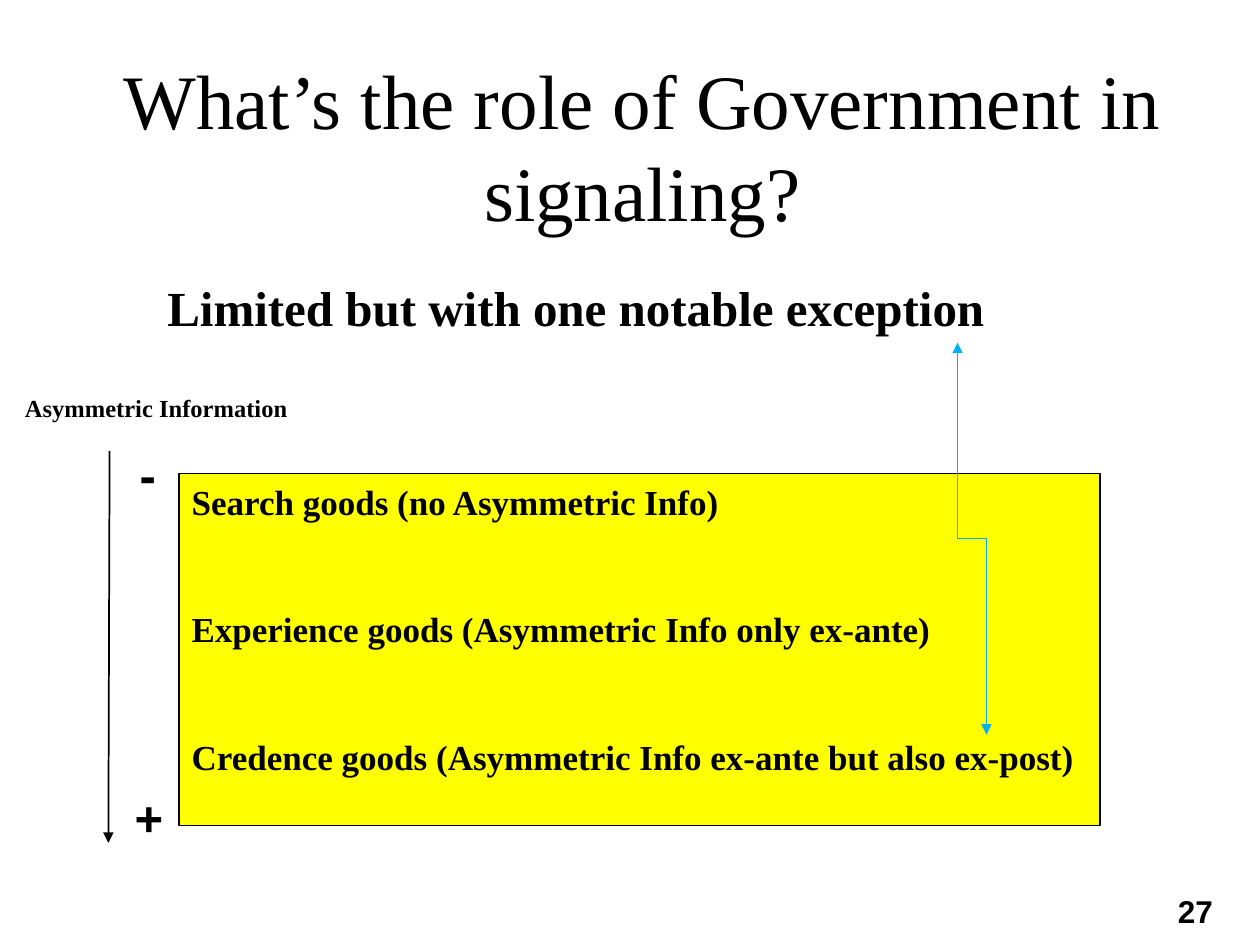
from pptx import Presentation
from pptx.dml.color import RGBColor as RGB
from pptx.enum.shapes import MSO_CONNECTOR as Conn
from pptx.enum.text import MSO_ANCHOR as Anchor, MSO_AUTO_SIZE as Auto, PP_ALIGN as Align
from pptx.oxml.ns import qn
from pptx.util import Inches, Pt
from lxml.etree import SubElement

# Content
TITLE = "What’s the role of Government in signaling?"
GOODS = [
    "Search goods (no Asymmetric Info)",
    "Experience goods (Asymmetric Info only ex-ante)",
    "Credence goods (Asymmetric Info ex-ante but also ex-post)",
]
# text, place, size name, font name, wrap
LABELS = [
    ("27", (9.25, 7.03, 0.51, 0.4), "page", "sans", False),
    ("Limited but with one notable exception", (1.23, 2.15, 8.55, 0.57), "lead", "serif", True),
    ("Asymmetric Information", (0.1, 3.07, 4.13, 0.34), "note", "serif", True),
    ("-", (1.01, 3.48, 0.22, 0.57), "lead", "sans", False),
    ("+", (0.97, 6.2, 0.49, 0.57), "lead", "sans", False),
]
AXIS = (0.87, 3.58), (0.86, 6.69)
LINK = (7.6, 2.72), (7.83, 5.83)

THEME = {
    "serif": "Times New Roman", "sans": "Arial",
    "ink": RGB(0, 0, 0), "panel": RGB(255, 255, 0), "link": RGB(0, 176, 240),
    "title": 44, "lead": 28, "goods": 20, "page": 18, "note": 14,
}


def write(frame, *lines, size, font="serif", bold=True, align=Align.LEFT, gap=0, wrap=True):
    """Fill a text frame, one paragraph a line, with a gap between them."""
    frame.word_wrap = wrap
    frame.auto_size = Auto.NONE
    for i, line in enumerate(lines):
        para = frame.paragraphs[0] if i == 0 else frame.add_paragraph()
        para.alignment = align
        para.space_before = Pt(gap if i else 0)
        run = para.add_run()
        run.text = line
        run.font.name = THEME[font]
        run.font.size = Pt(THEME[size])
        run.font.bold = bold
        run.font.color.rgb = THEME["ink"]


def place(shape, *box):
    shape.left, shape.top, shape.width, shape.height = map(Inches, box)


def arrow(kind, start, end, color, ends):
    line = slide.shapes.add_connector(kind, *map(Inches, start + end))
    line.line.color.rgb = THEME[color]
    line.line.width = Pt(1)
    for tag in ends:
        SubElement(line.line._get_or_add_ln(), qn(tag), type="triangle")
    SubElement(line._element.spPr, qn("a:effectLst"))
    return line


deck = Presentation()
deck.slide_width, deck.slide_height = Inches(10), Inches(7.5)
slide = deck.slides.add_slide(deck.slide_layouts[1])

# Title
title = slide.shapes.title
place(title, 0.1, 0.36, 10, 1.58)
title.text_frame.vertical_anchor = Anchor.MIDDLE
write(title.text_frame, TITLE, size="title", bold=False, align=Align.CENTER)

# Panel of goods
panel = slide.placeholders[1]
place(panel, 1.42, 3.76, 7.31, 2.79)
panel.fill.solid()
panel.fill.fore_color.rgb = THEME["panel"]
panel.line.color.rgb = THEME["ink"]
panel.line.width = Pt(0.75)
write(panel.text_frame, *GOODS, size="goods", gap=49)
for para in panel.text_frame.paragraphs:
    props = para._p.get_or_add_pPr()
    props.set("marL", "0")
    props.set("indent", "0")
    SubElement(props, qn("a:buNone"))

# Labels and page number
for text, box, size, font, wrap in LABELS:
    label = slide.shapes.add_textbox(*map(Inches, box))
    write(label.text_frame, text, size=size, font=font, wrap=wrap)

# Axis of rising asymmetry
arrow(Conn.STRAIGHT, *AXIS, "ink", ["a:tailEnd"])

# Elbow that leaves upright: laid flat about its centre, then turned
(x1, y1), (x2, y2) = LINK
mid, half = ((x1 + x2) / 2, (y1 + y2) / 2), ((y2 - y1) / 2, (x2 - x1) / 2)
link = arrow(Conn.ELBOW, (mid[0] + half[0], mid[1] - half[1]),
             (mid[0] - half[0], mid[1] + half[1]), "link", ["a:headEnd", "a:tailEnd"])
link.rotation = 270

deck.save("out.pptx")
